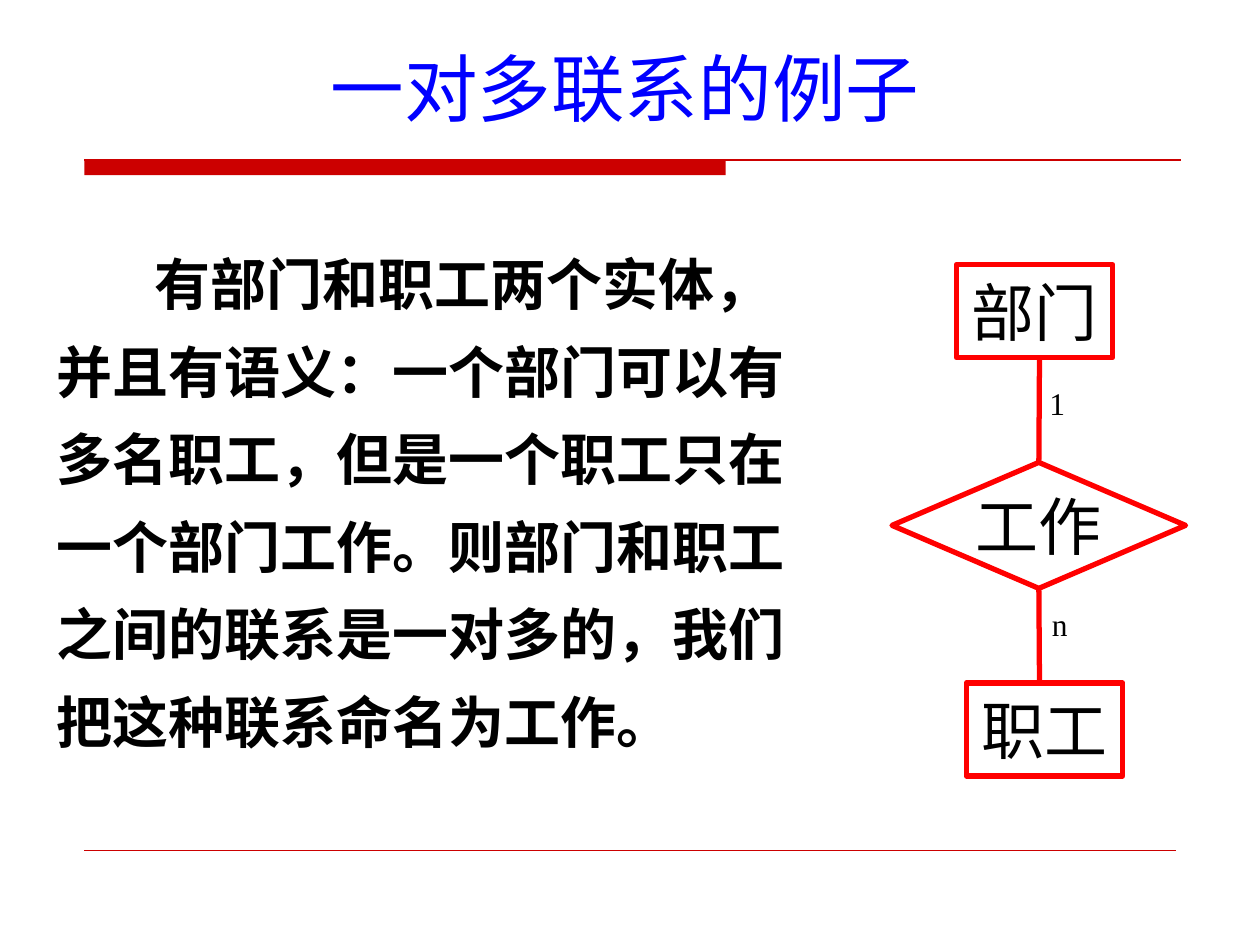
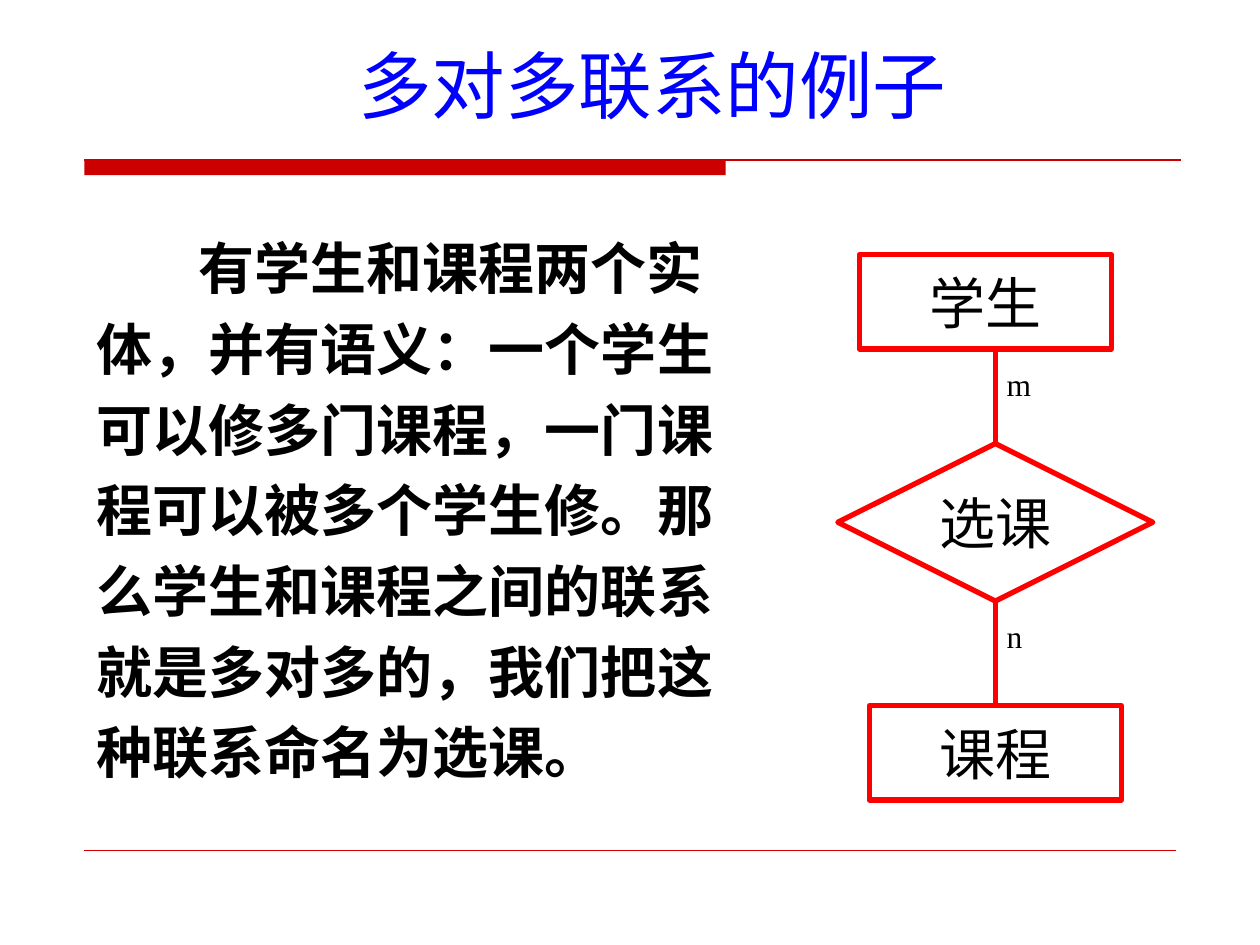
from pptx import Presentation
from pptx.dml.color import RGBColor
from pptx.enum.shapes import MSO_CONNECTOR as Link, MSO_SHAPE as Form
from pptx.enum.text import MSO_ANCHOR as Anchor, PP_ALIGN as Align
from pptx.oxml.ns import qn
from pptx.util import Inches, Pt
from lxml.etree import SubElement

RED, BAND, BLUE, BLACK = "FF0000", "CC0000", "0000FF", "000000"
SERIF, SANS = "Times New Roman", "Noto Sans CJK SC"


def paint(tint):
    return RGBColor.from_string(tint)


def write(shape, text, size=32, font=SERIF, tint=BLACK, bold=False, wrap=True,
          align=Align.LEFT, anchor=Anchor.TOP, pitch=None, indent=0):
    frame = shape.text_frame
    frame.word_wrap = wrap
    frame.vertical_anchor = anchor
    para = frame.paragraphs[0]
    para.alignment = align
    if pitch:
        para.line_spacing = Pt(pitch)
    if indent:
        para._p.get_or_add_pPr().set("indent", str(Inches(indent)))
    run = para.add_run()
    run.text = text
    run.font.name = font
    run.font.size = Pt(size)
    run.font.bold = bold
    run.font.color.rgb = paint(tint)
    SubElement(run._r.get_or_add_rPr(), qn("a:ea")).set("typeface", SANS)


class Deck:
    def __init__(self):
        self.file = Presentation()
        self.file.slide_width = Inches(10)
        self.file.slide_height = Inches(7.5)

    def page(self, title, *place):
        self.slide = self.file.slides.add_slide(self.file.slide_layouts[6])
        self.line((0.67, 1.27), (9.37, 1.27), BAND, 0.75)
        band = self.shape(Form.RECTANGLE, 0.67, 1.27, 5.09, 0.12)
        band.fill.solid()
        band.fill.fore_color.rgb = paint(BAND)
        band.line.fill.background()
        self.line((0.67, 6.75), (9.33, 6.75), BAND, 0.25)
        self.text(title, *place, size=42, font=SANS, tint=BLUE,
                  align=Align.CENTER, pitch=51)

    def text(self, text, *place, **style):
        box = self.slide.shapes.add_textbox(*map(Inches, place))
        write(box, text, **style)

    def shape(self, form, *place):
        shape = self.slide.shapes.add_shape(form, *map(Inches, place))
        shape.shadow.inherit = False
        shape.fill.background()
        return shape

    def node(self, form, text, size, *place):
        node = self.shape(form, *place)
        node.line.color.rgb = paint(RED)
        node.line.width = Pt(3)
        write(node, text, size=size, wrap=False, align=Align.CENTER,
              anchor=Anchor.MIDDLE)
        return node

    def line(self, start, end, tint=RED, width=3):
        line = self.slide.shapes.add_connector(
            Link.STRAIGHT, *map(Inches, start + end))
        line.line.color.rgb = paint(tint)
        line.line.width = Pt(width)
        SubElement(line._element.spPr, qn("a:effectLst"))
        return line

    def mark(self, text, left, top):
        self.text(text, left, top, 0.4, 0.5, size=18, wrap=False)

    def join(self, bond, side, node, x, y):
        start = (bond.left + bond.width / 2) / Inches(1)
        edge = (bond.top + (bond.height if side == 2 else 0)) / Inches(1)
        line = self.line((start, edge), (x, y))
        line.begin_connect(bond, side)
        if abs(node.left + node.width / 2 - Inches(x)) < Inches(0.01):
            line.end_connect(node, 2 - side)


def main():
    deck = Deck()

    deck.page("一对多联系的例子", 2.48, 0.28, 4.96, 0.81)
    deck.text("有部门和职工两个实体，并且有语义：一个部门可以有多名职工，"
              "但是一个职工只在一个部门工作。则部门和职工之间的联系是一对多的，"
              "我们把这种联系命名为工作。",
              0.35, 1.77, 6.02, 4.32, bold=True, pitch=50, indent=0.78)
    work = deck.node(Form.FLOWCHART_DECISION, "工作", 36, 7.08, 3.67, 2.33, 1)
    dept = deck.node(Form.RECTANGLE, "部门", 36, 7.59, 2.1, 1.24, 0.74)
    staff = deck.node(Form.RECTANGLE, "职工", 36, 7.67, 5.42, 1.24, 0.74)
    deck.join(work, 2, staff, 8.25, 5.42)
    deck.join(work, 0, dept, 8.25, 2.83)
    deck.mark("1", 8.23, 3)
    deck.mark("n", 8.25, 4.75)

    deck.page("多对多联系的例子", 2.72, 0.26, 4.91, 0.81)
    deck.text("有学生和课程两个实体，并有语义：一个学生可以修多门课程，"
              "一门课程可以被多个学生修。那么学生和课程之间的联系就是多对多的，"
              "我们把这种联系命名为选课。",
              0.67, 1.7, 5.33, 4.57, bold=True, pitch=46.1, indent=0.81)
    pupil = deck.node(Form.RECTANGLE, "学生", 32, 6.82, 2.02, 2, 0.75)
    course = deck.node(Form.RECTANGLE, "课程", 32, 6.9, 5.6, 2, 0.75)
    pick = deck.node(Form.FLOWCHART_DECISION, "选课", 32, 6.65, 3.52, 2.5, 1.25)
    deck.join(pick, 0, pupil, 7.9, 2.77)
    deck.join(pick, 2, course, 7.9, 5.6)
    deck.mark("m", 7.89, 2.85)
    deck.mark("n", 7.89, 4.85)

    deck.file.save("out.pptx")


if __name__ == "__main__":
    main()
